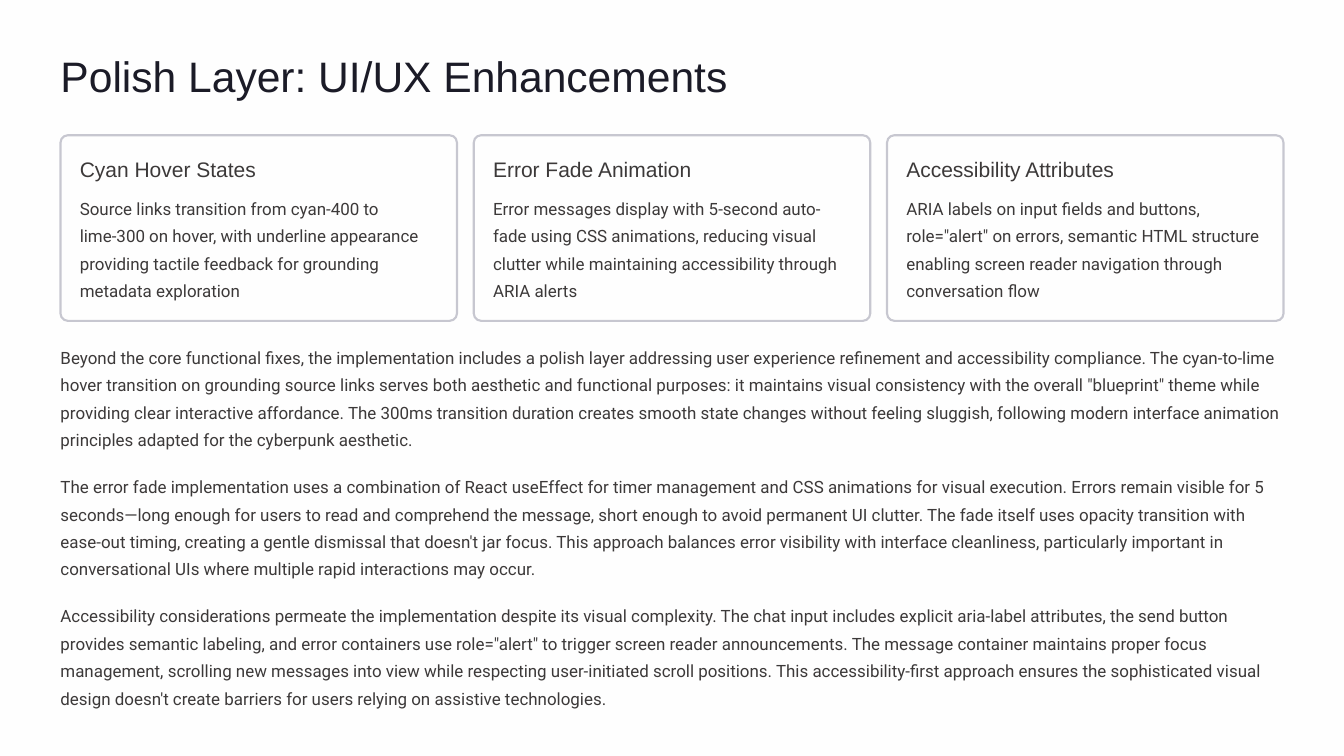
from pptx import Presentation
from pptx.dml.color import RGBColor
from pptx.enum.shapes import MSO_SHAPE as Shape
from pptx.enum.text import MSO_ANCHOR as Anchor, MSO_AUTO_SIZE as AutoSize, PP_ALIGN as Align
from pptx.util import Inches, Pt

INK, TEXT, PAPER, BORDER = "1B1B27", "3C3939", "FEFEFE", "C7C7D0"
LEFT = 0.72
CARD_WIDTH, CARD_HEIGHT, CARD_STEP = 4.72, 2.21, 4.92
BODY_WIDTH, BODY_HEIGHT, BODY_STEP = 14.57, 1.31, 1.54

TITLE = "Polish Layer: UI/UX Enhancements"
CARDS = [
    ("Cyan Hover States",
     "Source links transition from cyan-400 to lime-300 on hover, with underline "
     "appearance providing tactile feedback for grounding metadata exploration"),
    ("Error Fade Animation",
     "Error messages display with 5-second auto-fade using CSS animations, reducing "
     "visual clutter while maintaining accessibility through ARIA alerts"),
    ("Accessibility Attributes",
     'ARIA labels on input fields and buttons, role="alert" on errors, semantic HTML '
     "structure enabling screen reader navigation through conversation flow"),
]
BODY = [
    "Beyond the core functional fixes, the implementation includes a polish layer "
    "addressing user experience refinement and accessibility compliance. The "
    "cyan-to-lime hover transition on grounding source links serves both aesthetic and "
    "functional purposes: it maintains visual consistency with the overall "
    '"blueprint" theme while providing clear interactive affordance. The 300ms '
    "transition duration creates smooth state changes without feeling sluggish, "
    "following modern interface animation principles adapted for the cyberpunk aesthetic.",
    "The error fade implementation uses a combination of React useEffect for timer "
    "management and CSS animations for visual execution. Errors remain visible for 5 "
    "seconds—long enough for users to read and comprehend the message, short enough to "
    "avoid permanent UI clutter. The fade itself uses opacity transition with ease-out "
    "timing, creating a gentle dismissal that doesn't jar focus. This approach balances "
    "error visibility with interface cleanliness, particularly important in "
    "conversational UIs where multiple rapid interactions may occur.",
    "Accessibility considerations permeate the implementation despite its visual "
    "complexity. The chat input includes explicit aria-label attributes, the send button "
    "provides semantic labeling, and error containers use "
    'role="alert" to trigger screen reader announcements. The message container '
    "maintains proper focus management, scrolling new messages into view while "
    "respecting user-initiated scroll positions. This accessibility-first approach "
    "ensures the sophisticated visual design doesn't create barriers for users relying "
    "on assistive technologies.",
]


def color(value):
    return RGBColor.from_string(value)


def place(shape, left, top, width, height):
    shape.left, shape.top = Inches(left), Inches(top)
    shape.width, shape.height = Inches(width), Inches(height)


# Text helpers
def write(box, text, size, spacing, font="Arial", ink=TEXT, wrap=False):
    frame = box.text_frame
    frame.margin_left = frame.margin_right = frame.margin_top = frame.margin_bottom = 0
    frame.word_wrap = wrap
    frame.auto_size = AutoSize.NONE
    frame.vertical_anchor = Anchor.TOP
    frame.text = text
    para = frame.paragraphs[0]
    para.alignment = Align.LEFT
    para.line_spacing = Pt(spacing)
    para.font.name, para.font.size = font, Pt(size)
    para.font.color.rgb = color(ink)


def add_text(slide, left, top, width, height, *args, **style):
    box = slide.shapes.add_textbox(
        Inches(left), Inches(top), Inches(width), Inches(height))
    write(box, *args, **style)


def add_body_text(slide, left, top, width, text):
    add_text(slide, left, top, width, BODY_HEIGHT, text, 14.5, 23.5,
             font="Roboto", wrap=True)


# Slide title
def add_title(slide, left, top, width, height):
    title = slide.shapes.title
    place(title, left, top, width, height)
    write(title, TITLE, 36.5, 46, ink=INK)


# Outlined card with a heading and a short text
def add_card(slide, left, top, width, height, heading, text):
    card = slide.shapes.add_shape(
        Shape.ROUNDED_RECTANGLE, Inches(left), Inches(top), Inches(width), Inches(height))
    card.adjustments[0] = 0.04
    card.shadow.inherit = False
    card.fill.solid()
    card.fill.fore_color.rgb = color(PAPER)
    card.line.color.rgb = color(BORDER)
    card.line.width = Pt(1.8)
    inset = 0.23
    inner = width - 2 * inset
    add_text(slide, left + inset, top + inset, inner, 0.32, heading, 18, 23)
    add_body_text(slide, left + inset, top + 0.67, inner, text)


# Stacked paragraphs below the cards
def add_body(slide, left, top, width):
    for row, text in enumerate(BODY):
        add_body_text(slide, left, top + row * BODY_STEP, width, text)


def main():
    deck = Presentation()
    deck.slide_width, deck.slide_height = Inches(16), Inches(9)
    slide = deck.slides.add_slide(deck.slide_layouts[5])
    slide.background.fill.solid()
    slide.background.fill.fore_color.rgb = color(PAPER)

    add_title(slide, LEFT, 0.56, 8.59, 0.64)
    for column, (heading, text) in enumerate(CARDS):
        add_card(slide, LEFT + column * CARD_STEP, 1.61, CARD_WIDTH, CARD_HEIGHT,
                 heading, text)
    add_body(slide, LEFT, 4.05, BODY_WIDTH)
    deck.save("out.pptx")


if __name__ == "__main__":
    main()
